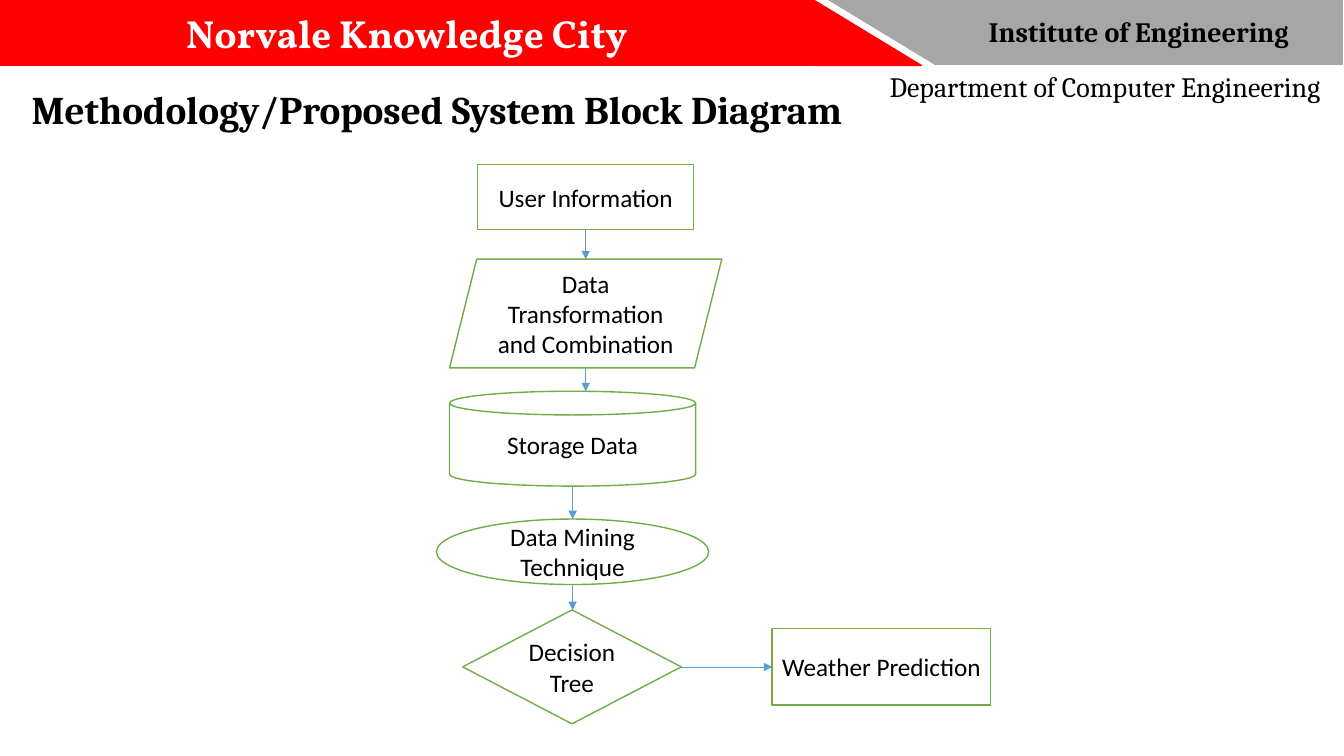
from lxml.etree import SubElement
from pptx import Presentation
from pptx.dml.color import RGBColor
from pptx.enum.shapes import MSO_CONNECTOR, MSO_SHAPE
from pptx.enum.text import MSO_ANCHOR, PP_ALIGN
from pptx.oxml.ns import qn
from pptx.util import Cm, Pt

RED = RGBColor(0xFF, 0x00, 0x00)
GRAY = RGBColor(0xA6, 0xA6, 0xA6)
GREEN = RGBColor(0x70, 0xAD, 0x47)
BLUE = RGBColor(0x5B, 0x9B, 0xD5)
WHITE = RGBColor(0xFF, 0xFF, 0xFF)
BLACK = RGBColor(0x00, 0x00, 0x00)

SLIDE_SIZE = (33.87, 19.05)
BOTTOM, LEFT, RIGHT = 2, 1, 3

HEADINGS = [
    ("Methodology/Proposed System Block Diagram", (0.15, 1.83, 21.72, 1.65),
     28, True, MSO_ANCHOR.BOTTOM, 0),
    ("Department of Computer Engineering", (21.87, 1.73, 11.96, 1.22),
     20, False, MSO_ANCHOR.TOP, 10),
]
BANNER = [
    (MSO_SHAPE.RECTANGLE, (0, 0, 20.5, 1.65), 0, RED,
     "Norvale Knowledge City", ("Vollkorn", 28, WHITE, True)),
    (MSO_SHAPE.RIGHT_TRIANGLE, (20.5, 0, 2.72, 1.65), 0, RED, "", None),
    (MSO_SHAPE.RIGHT_TRIANGLE, (20.85, -0.03, 2.72, 1.65), 180, GRAY, "", None),
    (MSO_SHAPE.RECTANGLE, (23.57, -0.03, 10.26, 1.65), 0, GRAY,
     "Institute of Engineering", ("Cambria", 20, BLACK, True)),
]
STEPS = [
    ("User Information", MSO_SHAPE.RECTANGLE, (12.04, 4.14, 5.44, 1.65)),
    ("Data Transformation and Combination", MSO_SHAPE.PARALLELOGRAM,
     (11.33, 6.53, 6.86, 2.74)),
    ("Storage Data", MSO_SHAPE.CAN, (11.33, 9.86, 6.2, 2.39)),
    ("Data Mining Technique", MSO_SHAPE.OVAL, (11, 13.08, 6.86, 1.65)),
    ("Decision Tree", MSO_SHAPE.DIAMOND, (11.66, 15.37, 5.51, 2.87)),
]
RESULT = ("Weather Prediction", MSO_SHAPE.RECTANGLE, (19.46, 15.84, 5.51, 1.93))
STEP_FONT = ("Calibri", 18, BLACK, False)


def write(shape, text, style, anchor=MSO_ANCHOR.MIDDLE):
    name, size, color, bold = style
    frame = shape.text_frame
    frame.text = text
    frame.word_wrap = True
    frame.vertical_anchor = anchor
    paragraph = frame.paragraphs[0]
    paragraph.alignment = PP_ALIGN.CENTER
    font = paragraph.runs[0].font
    font.name, font.size, font.bold = name, Pt(size), bold
    font.color.rgb = color
    return paragraph


def add_block(slide, kind, box, fill, line, text, style):
    shape = slide.shapes.add_shape(kind, *map(Cm, box))
    shape.shadow.inherit = False
    shape.fill.solid()
    shape.fill.fore_color.rgb = fill
    shape.line.color.rgb = line
    shape.line.width = Pt(1)
    if text:
        write(shape, text, style)
    return shape


def add_arrow(slide, start, end):
    connector = slide.shapes.add_connector(MSO_CONNECTOR.STRAIGHT, *start, *end)
    connector.line.color.rgb = BLUE
    connector.line.width = Pt(0.5)
    SubElement(connector.line._get_or_add_ln(), qn("a:tailEnd"), type="triangle")
    SubElement(connector._element.spPr, qn("a:effectLst"))
    return connector


def main():
    presentation = Presentation()
    presentation.slide_width, presentation.slide_height = map(Cm, SLIDE_SIZE)
    slide = presentation.slides.add_slide(presentation.slide_layouts[6])

    for text, box, size, bold, anchor, space_before in HEADINGS:
        heading = slide.shapes.add_textbox(*map(Cm, box))
        paragraph = write(heading, text, ("Cambria", size, BLACK, bold), anchor)
        paragraph.line_spacing = 0.9
        paragraph.space_before = Pt(space_before)

    for kind, box, rotation, color, text, style in BANNER:
        part = add_block(slide, kind, box, color, color, text, style)
        part.rotation = rotation

    blocks = [add_block(slide, kind, box, WHITE, GREEN, text, STEP_FONT)
              for text, kind, box in STEPS + [RESULT]]
    *steps, result = blocks

    for upper, lower in zip(steps, steps[1:]):
        center = upper.left + upper.width // 2
        arrow = add_arrow(slide, (center, upper.top + upper.height),
                          (center, lower.top))
        if upper is steps[0]:
            arrow.begin_connect(upper, BOTTOM)

    decision = steps[-1]
    middle = decision.top + decision.height // 2
    arrow = add_arrow(slide, (decision.left + decision.width, middle),
                      (result.left, middle))
    arrow.begin_connect(decision, RIGHT)
    arrow.end_connect(result, LEFT)

    presentation.save("out.pptx")


if __name__ == "__main__":
    main()
